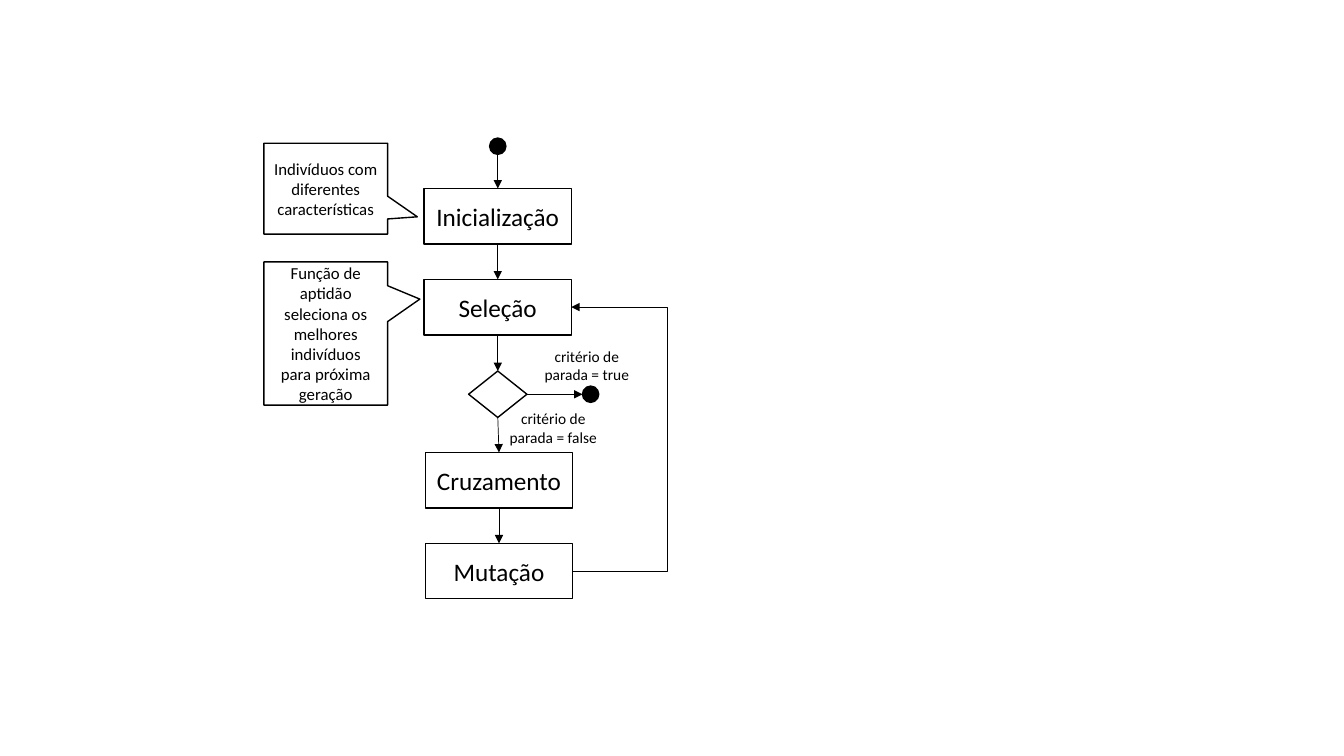
"""Builds a slide with the flowchart of a genetic algorithm."""
import pptx
import pptx.dml.color
import pptx.enum.shapes
import pptx.enum.text
import pptx.oxml
import pptx.oxml.ns
import pptx.util
from pptx.util import Cm

COLORS = {"ink": "000000"}
INK = pptx.dml.color.RGBColor.from_string(COLORS["ink"])
PRESET = pptx.enum.shapes.MSO_SHAPE
ROUTE = pptx.enum.shapes.MSO_CONNECTOR
ANCHOR = pptx.enum.text.MSO_ANCHOR
TOP, LEFT, BOTTOM, RIGHT = range(4)
SIDES = {TOP: (0.5, 0), LEFT: (0, 0.5), BOTTOM: (0.5, 1), RIGHT: (1, 0.5)}


def write(holder, text, size=18, anchor=ANCHOR.MIDDLE):
    frame = holder.text_frame
    frame.word_wrap = True
    frame.vertical_anchor = anchor
    paragraph = frame.paragraphs[0]
    paragraph.alignment = pptx.enum.text.PP_ALIGN.CENTER
    run = paragraph.add_run()
    run.text = text
    run.font.name = "Calibri"
    run.font.size = pptx.util.Pt(size)
    run.font.color.rgb = INK


def add_node(preset, *box):
    node = slide.shapes.add_shape(preset, *map(Cm, box))
    node.shadow.inherit = False
    node.fill.background()
    node.line.color.rgb = INK
    node.line.width = pptx.util.Pt(1)
    return node


deck = pptx.Presentation()
deck.slide_width, deck.slide_height = Cm(33.87), Cm(19.05)
slide = deck.slides.add_slide(deck.slide_layouts[6])

steps = {}
for name, left, top in [
    ("Inicialização", 10.69, 4.75),
    ("Seleção", 10.69, 7.04),
    ("Cruzamento", 10.72, 11.4),
    ("Mutação", 10.72, 13.69),
]:
    steps[name] = add_node(PRESET.RECTANGLE, left, top, 3.71, 1.4)
    write(steps[name], name)

decision = add_node(PRESET.DIAMOND, 11.81, 9.35, 1.47, 1.17)

start, finish = [
    add_node(PRESET.FLOWCHART_CONNECTOR, left, top, 0.41, 0.41)
    for left, top in [(12.34, 3.48), (14.68, 9.73)]
]
for terminal in (start, finish):
    terminal.fill.solid()
    terminal.fill.fore_color.rgb = INK

for remark, top, height, tip in [
    ("Indivíduos com diferentes características", 3.61, 2.29, (0.74, 0.31)),
    ("Função de aptidão seleciona os melhores indivíduos para próxima geração",
     6.6, 3.61, (0.76, -0.24)),
]:
    callout = add_node(PRESET.RECTANGULAR_CALLOUT, 6.65, top, 3.12, height)
    callout.adjustments[0], callout.adjustments[1] = tip
    write(callout, remark, size=12)

for condition, left, top, width in [
    ("critério de parada = false", 12.55, 10.19, 2.79),
    ("critério de parada = true", 13.28, 8.61, 3.02),
]:
    label = slide.shapes.add_textbox(Cm(left), Cm(top), Cm(width), Cm(1.19))
    write(label, condition, size=11, anchor=ANCHOR.TOP)

for route, source, source_side, target, target_side in [
    (ROUTE.STRAIGHT, start, BOTTOM, steps["Inicialização"], TOP),
    (ROUTE.STRAIGHT, steps["Inicialização"], BOTTOM, steps["Seleção"], TOP),
    (ROUTE.STRAIGHT, steps["Seleção"], BOTTOM, decision, TOP),
    (ROUTE.STRAIGHT, decision, RIGHT, finish, LEFT),
    (ROUTE.STRAIGHT, decision, BOTTOM, steps["Cruzamento"], TOP),
    (ROUTE.STRAIGHT, steps["Cruzamento"], BOTTOM, steps["Mutação"], TOP),
    (ROUTE.ELBOW, steps["Mutação"], RIGHT, steps["Seleção"], RIGHT),
]:
    ends = []
    for node, side in [(source, source_side), (target, target_side)]:
        across, down = SIDES[side]
        ends += [int(node.left + across * node.width), int(node.top + down * node.height)]
    arrow = slide.shapes.add_connector(route, *ends)
    if source is not start:
        arrow.begin_connect(source, source_side)
    if target is not finish:
        arrow.end_connect(target, target_side)
    arrow.line.color.rgb = INK
    arrow.line.width = pptx.util.Pt(0.5)
    outline = arrow.line._get_or_add_ln()
    outline.append(pptx.oxml.parse_xml(
        f'<a:tailEnd {pptx.oxml.ns.nsdecls("a")} type="triangle"/>'))
    outline.addnext(pptx.oxml.parse_xml(f'<a:effectLst {pptx.oxml.ns.nsdecls("a")}/>'))
    if route == ROUTE.ELBOW:
        bend = round((arrow.begin_x - Cm(16.81)) / arrow.width * 100000)
        guides = arrow._element.spPr.find(".//" + pptx.oxml.ns.qn("a:avLst"))
        guides.append(pptx.oxml.parse_xml(
            f'<a:gd {pptx.oxml.ns.nsdecls("a")} name="adj1" fmla="val {bend}"/>'))

deck.save("out.pptx")
